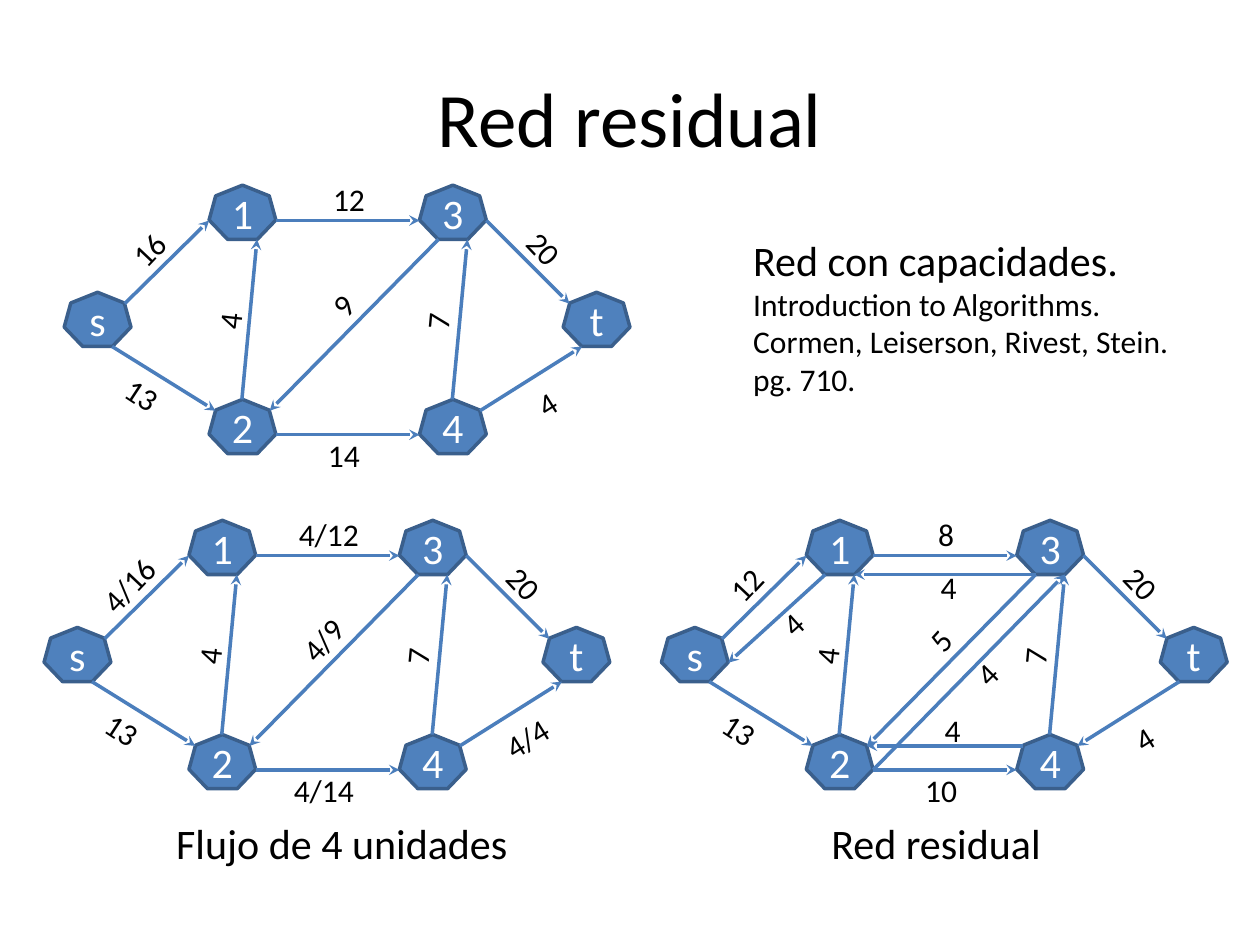
from dataclasses import dataclass

from lxml import etree
from pptx import Presentation
from pptx import util as u
from pptx.dml.color import RGBColor
from pptx.enum import shapes, text
from pptx.oxml import ns


@dataclass(frozen=True)
class Theme:
    font: str = "Calibri"
    ink: str = "000000"
    pale: str = "FFFFFF"
    fill: str = "4F81BD"
    rim: str = "3A5F8C"
    edge: str = "4B7EBC"
    head: int = 44
    large: int = 24
    small: int = 18
    line: int = 2


COLS, ROWS = 100, 75
NODE = (5.3, 4.3)
LABEL = (9.6, 4)
NODES = {"s": (0, 8.5), "1": (11.5, 0), "3": (28.2, 0),
         "2": (11.5, 17), "4": (28.2, 17), "t": (39.6, 8.5)}
PORTS = {"n": (2.6, 0), "ne": (4.8, 0.9), "e": (5.3, 2.8), "se": (3.8, 4.3),
         "sw": (1.5, 4.3), "w": (0, 2.8), "nw": (0.5, 0.9)}
EDGES = ["s.ne 1.w", "1.e 3.w", "3.sw 2.ne", "s.se 2.nw", "2.n 1.se",
         "2.e 4.w", "4.n 3.se", "3.e t.nw"]
SINK = "4.ne t.sw"
BACK = ["t.sw 4.ne", "2.e 3.se", "1.sw s.e", "3.sw 1.se", "4.nw 2.ne"]
SPOTS = [(13.1, 10.8, 276.2), (29.6, 10.8, 275.3), (6.2, 16.6, 33.3),
         (6.7, 5.1, 313.4), (22.1, 9.5, 312.3), (22.6, 1.1, 0),
         (22.2, 21.4, 0), (38.1, 5, 46.8), (38.3, 17.3, 328),
         (10.4, 8.2, 318.1), (22.8, 5.3, 0), (25.8, 12.2, 315.2),
         (23.1, 16.6, 0)]


class Deck:
    def __init__(self, theme):
        self.theme = theme
        self.prs = Presentation()
        self.prs.slide_width, self.prs.slide_height = u.Inches(10), u.Inches(7.5)
        self.slide = self.prs.slides.add_slide(self.prs.slide_layouts[5])

    def grid(self, *nums):
        sides = (self.prs.slide_width / COLS, self.prs.slide_height / ROWS)
        return [u.Emu(round(n * sides[i % 2])) for i, n in enumerate(nums)]

    def color(self, code):
        return RGBColor.from_string(code)

    def words(self, frame, lines, ink, side=text.PP_ALIGN.CENTER):
        for i, (line, size) in enumerate(lines):
            para = frame.add_paragraph() if i else frame.paragraphs[0]
            para.alignment = side
            run = para.add_run()
            run.text = line
            run.font.name = self.theme.font
            run.font.size = u.Pt(size)
            run.font.color.rgb = self.color(ink)

    def title(self, line):
        shape = self.slide.shapes.title
        shape.left, shape.top, shape.width, shape.height = self.grid(5, 3, 90, 12.5)
        shape.text_frame.vertical_anchor = text.MSO_ANCHOR.MIDDLE
        self.words(shape.text_frame, [(line, self.theme.head)], self.theme.ink)

    def note(self, box, lines, side=text.PP_ALIGN.LEFT, home=None, turn=0):
        shape = (home or self.slide).shapes.add_textbox(*self.grid(*box))
        shape.rotation = turn
        shape.text_frame.word_wrap = True
        shape.text_frame.auto_size = text.MSO_AUTO_SIZE.SHAPE_TO_FIT_TEXT
        self.words(shape.text_frame, lines, self.theme.ink, side)

    def node(self, home, name, x, y):
        shape = home.shapes.add_shape(
            shapes.MSO_SHAPE.HEPTAGON, *self.grid(x, y, *NODE))
        shape.shadow.inherit = False
        shape.fill.solid()
        shape.fill.fore_color.rgb = self.color(self.theme.fill)
        shape.line.color.rgb = self.color(self.theme.rim)
        shape.line.width = u.Pt(self.theme.line)
        frame = shape.text_frame
        frame.margin_left = frame.margin_right = 0
        frame.vertical_anchor = text.MSO_ANCHOR.MIDDLE
        self.words(frame, [(name, self.theme.large)], self.theme.pale)

    def arrow(self, home, start, end):
        link = home.shapes.add_connector(
            shapes.MSO_CONNECTOR.STRAIGHT, *self.grid(*start, *end))
        link.line.color.rgb = self.color(self.theme.edge)
        link.line.width = u.Pt(self.theme.line)
        props = link.element.spPr
        tip = etree.SubElement(props.find(ns.qn("a:ln")), ns.qn("a:tailEnd"))
        tip.set("type", "stealth")
        etree.SubElement(props, ns.qn("a:effectLst"))

    def graph(self, x, y, edges, labels):
        home = self.slide.shapes.add_group_shape()
        for name, (dx, dy) in NODES.items():
            self.node(home, name, x + dx, y + dy)

        def port(key):
            name, side = key.split(".")
            (a, b), (c, d) = NODES[name], PORTS[side]
            return x + a + c, y + b + d

        for edge in edges:
            self.arrow(home, *map(port, edge.split()))
        wide, high = LABEL
        for label, (dx, dy, turn) in zip(labels.split(), SPOTS):
            box = (x + dx - wide / 2, y + dy - high / 2, wide, high)
            self.note(box, [(label, self.theme.small)],
                      text.PP_ALIGN.CENTER, home, turn)


def main():
    theme = Theme()
    deck = Deck(theme)
    deck.title("Red residual")
    deck.graph(5.1, 14.7, EDGES + [SINK], "4 7 13 16 9 12 14 20 4")
    deck.note((58.8, 18.1, 36, 14.1), [
        ("Red con capacidades.", theme.large),
        ("Introduction to Algorithms.", theme.small),
        ("Cormen, Leiserson, Rivest, Stein. pg. 710.", theme.small)])
    deck.graph(3.5, 41.3, EDGES + [SINK], "4 7 13 4/16 4/9 4/12 4/14 20 4/4")
    deck.note((13, 64.4, 31.2, 5), [("Flujo de 4 unidades", theme.large)])
    deck.note((58.7, 64.4, 31.2, 5), [("Red residual", theme.large)],
              text.PP_ALIGN.CENTER)
    deck.graph(52.5, 41.3, EDGES + BACK, "4 7 13 12 5 8 10 20 4 4 4 4 4")
    deck.prs.save("out.pptx")


if __name__ == "__main__":
    main()
